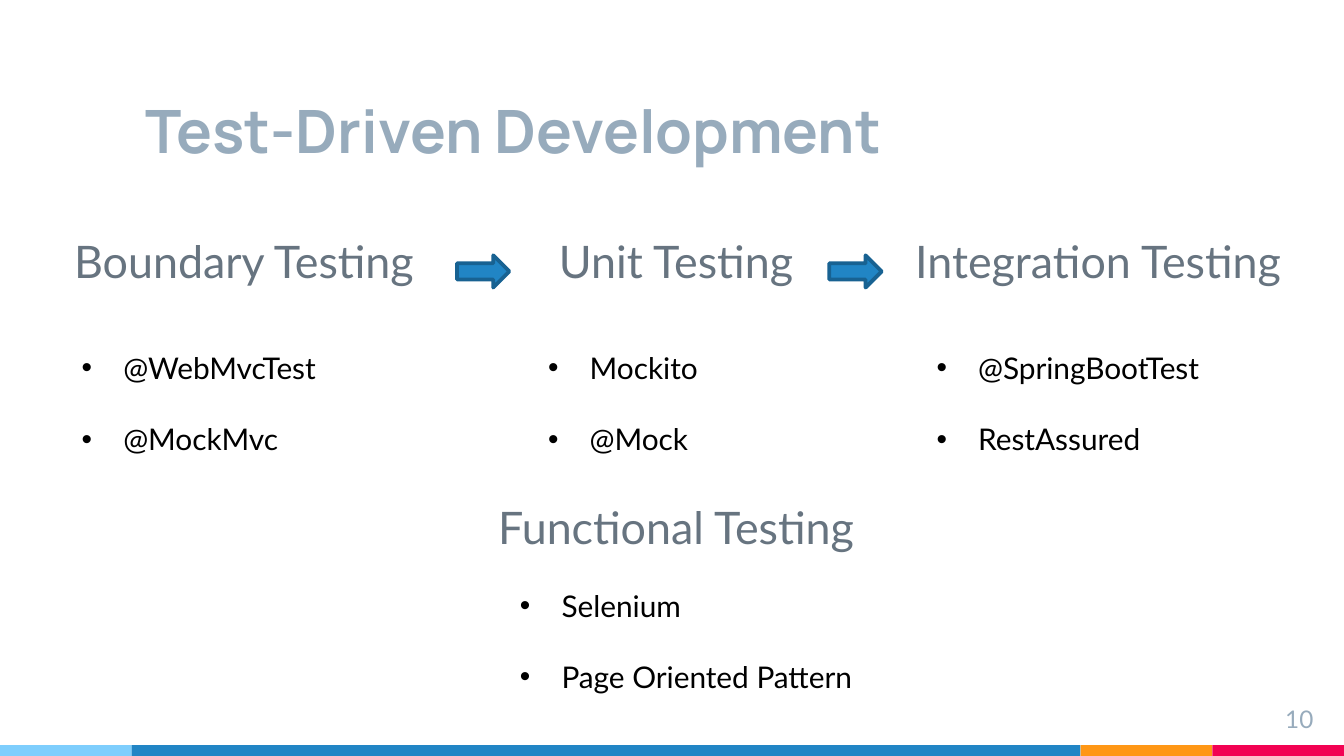
from lxml import etree
from pptx import Presentation
from pptx.dml.color import RGBColor
from pptx.enum.shapes import MSO_SHAPE
from pptx.enum.text import MSO_ANCHOR, MSO_AUTO_SIZE, PP_ALIGN
from pptx.oxml.ns import qn
from pptx.util import Inches, Pt

RECTANGLE, RIGHT_ARROW = MSO_SHAPE.RECTANGLE, MSO_SHAPE.RIGHT_ARROW
LEFT, CENTER, RIGHT = PP_ALIGN.LEFT, PP_ALIGN.CENTER, PP_ALIGN.RIGHT
TOP, BOTTOM = MSO_ANCHOR.TOP, MSO_ANCHOR.BOTTOM
NO_AUTOFIT = MSO_AUTO_SIZE.NONE

BLACK = RGBColor(0x00, 0x00, 0x00)
MIST = RGBColor(0x97, 0xAB, 0xBC)
SLATE = RGBColor(0x67, 0x74, 0x80)
SKY = RGBColor(0x7E, 0xCE, 0xFD)
BLUE = RGBColor(0x21, 0x85, 0xC5)
DEEP_BLUE = RGBColor(0x18, 0x62, 0x92)
ORANGE = RGBColor(0xFF, 0x97, 0x15)
PINK = RGBColor(0xF2, 0x02, 0x53)

WIDTH = 10
HEIGHT = WIDTH * 9 / 16
HEADING_HEIGHT = 0.76
LIST_HEIGHT = 0.91
INDENT = Inches(0.31)


def style_font(paragraph, size, color, name="Lato", bold=False):
    """Set the font of a whole paragraph."""
    font = paragraph.font
    font.name, font.size, font.bold = name, Pt(size), bold
    font.color.rgb = color


def prepare_frame(frame, inset_y=0.1, anchor=TOP):
    """Make a text frame wrap, with fixed insets and no autofit."""
    frame.word_wrap = True
    frame.auto_size = NO_AUTOFIT
    frame.vertical_anchor = anchor
    frame.margin_left = frame.margin_right = Inches(0.1)
    frame.margin_top = frame.margin_bottom = Inches(inset_y)


def add_label(slide, text, box, size, color, align):
    """Add a one-line text box."""
    frame = slide.shapes.add_textbox(*map(Inches, box)).text_frame
    prepare_frame(frame)
    frame.text = text
    line = frame.paragraphs[0]
    line.alignment = align
    style_font(line, size, color)


def add_tools(slide, tools, box):
    """Add a bulleted list of testing tools."""
    frame = slide.shapes.add_textbox(*map(Inches, box)).text_frame
    prepare_frame(frame, inset_y=0.05)
    frame.text = "\n".join(tools)
    for index, item in enumerate(frame.paragraphs):
        properties = item._p.get_or_add_pPr()
        properties.set("marL", str(INDENT))
        properties.set("indent", str(-INDENT))
        if index:
            item.space_before = Pt(19.2)
        bullet_font = etree.SubElement(properties, qn("a:buFont"))
        bullet_font.set("typeface", "Arial")
        bullet = etree.SubElement(properties, qn("a:buChar"))
        bullet.set("char", "•")
        style_font(item, 16, BLACK)


def add_stage(slide, name, tools, heading_box, list_box):
    """Add a testing stage: heading and the tools below it."""
    add_label(slide, name, (*heading_box, HEADING_HEIGHT), 24, SLATE, CENTER)
    add_tools(slide, tools, (*list_box, LIST_HEIGHT))


def add_filled(slide, preset, box, color):
    """Add a preset shape with a plain fill and no outline."""
    shape = slide.shapes.add_shape(preset, *map(Inches, box))
    shape.shadow.inherit = False
    shape.fill.solid()
    shape.fill.fore_color.rgb = color
    shape.line.fill.background()
    return shape


def add_arrow(slide, left, top):
    """Add an arrow from one stage to the next."""
    arrow = add_filled(slide, RIGHT_ARROW, (left, top, 0.39, 0.24), BLUE)
    arrow.line.color.rgb = DEEP_BLUE
    arrow.line.width = Pt(2)


def add_footer(slide, number):
    """Add the colour strip along the bottom edge and the slide number."""
    strip_height, end = 0.08, 0.98
    left = 0
    for width, color in (
        (end, SKY), (WIDTH - 3 * end, BLUE), (end, ORANGE), (end, PINK)
    ):
        box = (left, HEIGHT - strip_height, width, strip_height)
        add_filled(slide, RECTANGLE, box, color)
        left += width
    add_label(slide, number, (9.27, 5.14, 0.6, 0.34), 13, MIST, RIGHT)


def place_title(slide, text, box):
    """Move and format the title placeholder."""
    title = slide.shapes.title
    title.left, title.top, title.width, title.height = map(Inches, box)
    frame = title.text_frame
    prepare_frame(frame, anchor=BOTTOM)
    frame.text = text
    heading = frame.paragraphs[0]
    heading.alignment = LEFT
    style_font(heading, 32, MIST, "Manrope", bold=True)


def build_testing_slide(presentation):
    """Build the slide of testing stages and their tools."""
    slide = presentation.slides.add_slide(presentation.slide_layouts[5])
    add_footer(slide, "10")
    place_title(slide, "Test-Driven Development", (0.98, 0.39, 7.07, 0.94))
    heading_top, list_top = 1.64, 2.55
    for name, tools, left, width, list_left in (
        ("Boundary Testing", ("@WebMvcTest", "@MockMvc"), 0.13, 3.37, 0.51),
        ("Unit Testing", ("Mockito", "@Mock"), 3.77, 2.52, 3.98),
        ("Integration Testing", ("@SpringBootTest", "RestAssured"), 6.58, 3.18, 6.87),
    ):
        add_stage(slide, name, tools, (left, heading_top, width), (list_left, list_top, 2.6))
    add_stage(slide, "Functional Testing", ("Selenium", "Page Oriented Pattern"),
              (3.44, 3.62, 3.18), (3.77, 4.32, 3.18))
    for left in (3.4, 6.17):
        add_arrow(slide, left, 1.9)


def main():
    """Create and save the presentation."""
    presentation = Presentation()
    presentation.slide_width = Inches(WIDTH)
    presentation.slide_height = Inches(HEIGHT)
    build_testing_slide(presentation)
    presentation.save("out.pptx")


if __name__ == "__main__":
    main()
